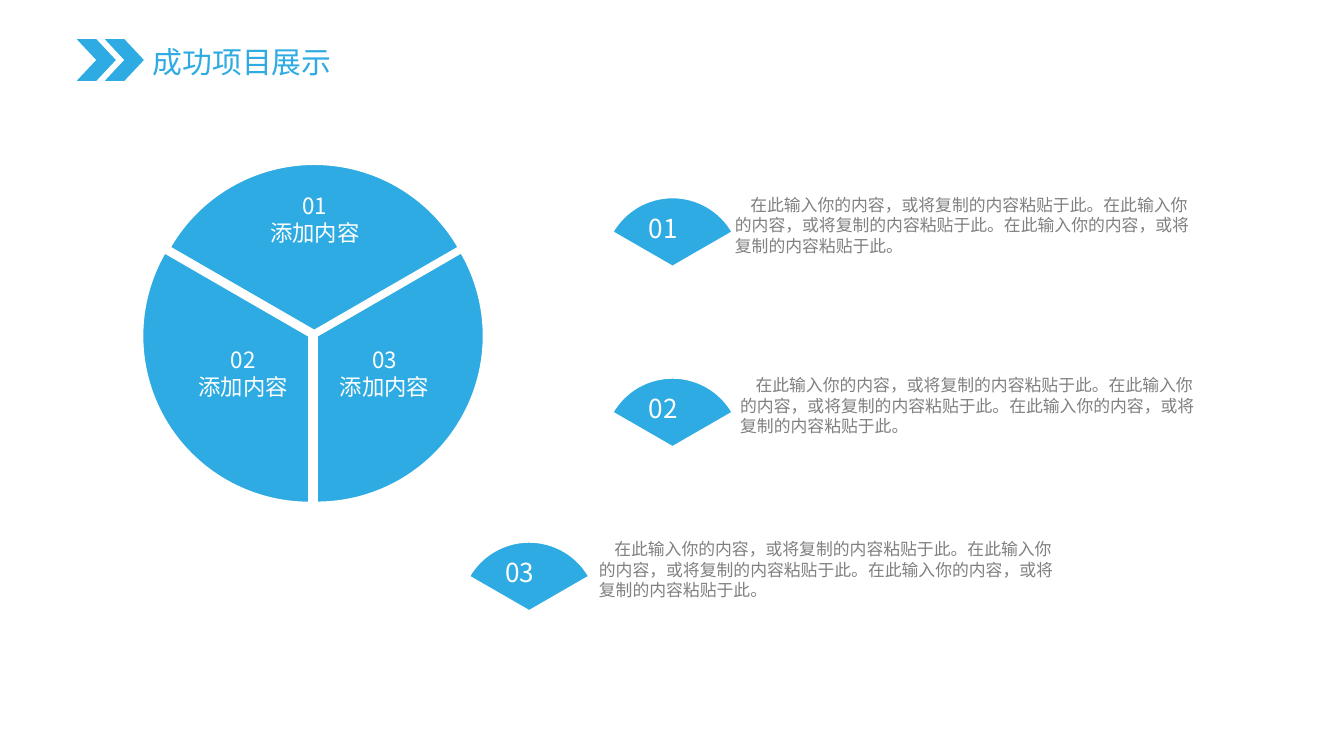
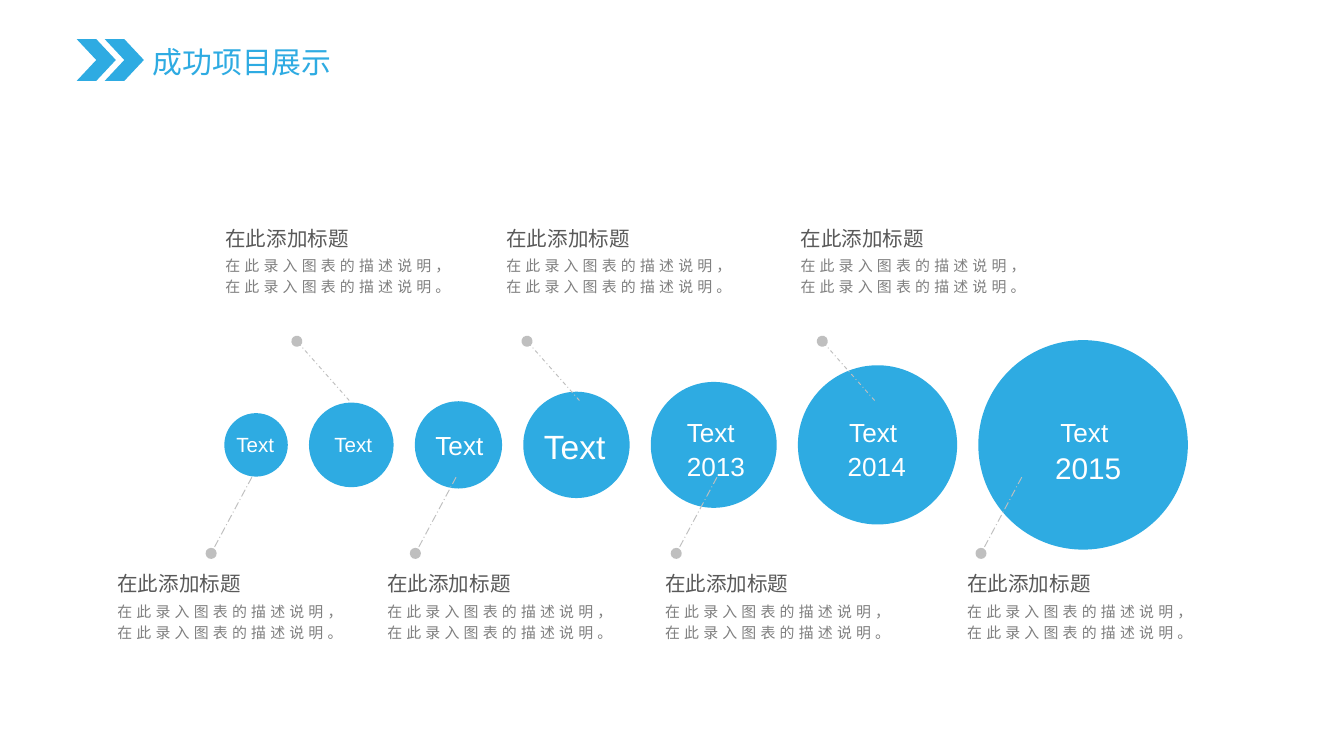
from dataclasses import dataclass

from lxml import etree
from pptx import Presentation
from pptx.dml import color
from pptx.enum import dml, shapes, text
from pptx.oxml import ns
from pptx.shapes.autoshape import Shape
from pptx.slide import Slide
from pptx.util import Cm, Pt


@dataclass(frozen=True)
class Style:
    size: float
    ink: str
    latin: str = "Noto Sans CJK SC"
    leading: float | None = None
    tracking: float = 0


class Theme:
    blue = "2EABE2"
    white = "FFFFFF"
    silver = "BFBFBF"
    gray = "808080"
    cjk = "Noto Sans CJK SC"
    title = Style(16, blue, leading=19.4)
    number = Style(14, white, leading=17)
    slice_number = Style(12, white, leading=21.8)
    slice_label = Style(12, white, leading=14.5)
    body = Style(9, gray, leading=10.9)
    caption = Style(11, "595959", leading=13.3)
    note = Style(8, gray, "Arial Narrow", 11.25, 2.2)
    bubble_small = Style(11, white, "Arial")
    bubble = Style(14, white, "Arial")
    bubble_large = Style(16, white, "Arial")
    bubble_huge = Style(18, white, "Arial")


@dataclass(frozen=True)
class Frame:
    left: float
    top: float
    width: float
    height: float

    def lengths(self) -> tuple[Cm, Cm, Cm, Cm]:
        return Cm(self.left), Cm(self.top), Cm(self.width), Cm(self.height)


@dataclass(frozen=True)
class Line:
    words: str
    style: Style


@dataclass(frozen=True)
class Slice:
    number: str
    left: float
    top: float
    turn: int
    label_left: float
    label_top: float


@dataclass(frozen=True)
class Entry:
    number: str
    left: float
    top: float
    body_left: float


@dataclass(frozen=True)
class Label:
    words: str
    frame: Frame
    style: Style


@dataclass(frozen=True)
class Callout:
    text_left: float
    dot_x: float


@dataclass(frozen=True)
class CalloutRow:
    caption_top: float
    dot_y: float
    end_y: float
    reach: float
    dash: dml.MSO_LINE
    callouts: tuple[Callout, ...]


TITLE = "成功项目展示"
BODY = "在此输入你的内容，或将复制的内容粘贴于此。" * 3
SLICE_LABEL = "添加内容"
CAPTION = "在此添加标题"
NOTE = "在此录入图表的描述说明，在此录入图表的描述说明。"

PIE_SPAN = (162, 18)
SLICE_SIZE = 6.3
FAN_SIZE = 2.62
FAN_TURN = 300
SLICES = (
    Slice("01", 2.79, 3.1, 300, 4.83, 3.25),
    Slice("02", 2.69, 3.2, 180, 3.48, 6.15),
    Slice("03", 2.84, 3.2, 60, 6.15, 6.15),
)
ENTRIES = (
    Entry("01", 11.4, 3.73, 13.64),
    Entry("02", 11.4, 7.14, 13.74),
    Entry("03", 8.69, 10.24, 11.07),
)

BUBBLE_AXIS = 8.41
BUBBLE_START = 4.24
BUBBLE_GAP = 0.4
BUBBLE_SIZES = (1.2, 1.6, 1.65, 2.01, 2.38, 3.01, 3.96)
BUBBLE_LABELS = (
    Label("Text", Frame(4.22, 8.05, 1.27, 0.74), Theme.bubble_small),
    Label("Text", Frame(6.07, 8.05, 1.27, 0.74), Theme.bubble_small),
    Label("Text", Frame(7.98, 8.0, 1.42, 0.86), Theme.bubble),
    Label("Text", Frame(10.03, 7.92, 1.68, 1.02), Theme.bubble_huge),
    Label("Text", Frame(12.73, 7.75, 1.42, 0.86), Theme.bubble),
    Label("2013", Frame(12.73, 8.38, 1.63, 0.86), Theme.bubble),
    Label("Text", Frame(15.8, 7.75, 1.42, 0.86), Theme.bubble),
    Label("2014", Frame(15.77, 8.38, 1.63, 0.86), Theme.bubble),
    Label("Text", Frame(19.79, 7.75, 1.42, 0.86), Theme.bubble),
    Label("2015", Frame(19.69, 8.38, 1.78, 0.94), Theme.bubble_large),
)
CALLOUT_ROWS = (
    CalloutRow(4.14, 6.45, 7.57, 0.99, dml.MSO_LINE.DASH_DOT, (
        Callout(4.01, 5.61), Callout(9.32, 9.96), Callout(14.88, 15.54))),
    CalloutRow(10.67, 10.46, 9.02, 0.77, dml.MSO_LINE.LONG_DASH_DOT, (
        Callout(1.97, 3.99), Callout(7.07, 7.85),
        Callout(12.32, 12.78), Callout(18.03, 18.54))),
)


def rgb(value: str) -> color.RGBColor:
    return color.RGBColor.from_string(value)


def write(box: Shape, lines: list[Line], wrap: bool = False,
          align: text.PP_ALIGN = text.PP_ALIGN.LEFT, indent: float = 0) -> None:
    frame = box.text_frame
    frame.word_wrap = wrap
    frame.auto_size = text.MSO_AUTO_SIZE.SHAPE_TO_FIT_TEXT
    frame.vertical_anchor = text.MSO_ANCHOR.TOP
    for index, line in enumerate(lines):
        para = frame.add_paragraph() if index else frame.paragraphs[0]
        style = line.style
        para.text = line.words
        para.alignment = align
        if style.leading:
            para.line_spacing = Pt(style.leading)
        properties = para._p.get_or_add_pPr()
        if indent:
            properties.set("indent", str(Cm(indent)))
        para.font.size = Pt(style.size)
        para.font.bold = False
        para.font.color.rgb = rgb(style.ink)
        para.font.name = style.latin
        defaults = properties.find(ns.qn("a:defRPr"))
        etree.SubElement(defaults, ns.qn("a:ea")).set("typeface", Theme.cjk)
        if style.tracking:
            defaults.set("spc", str(round(style.tracking * 100)))


def add_text(page: Slide, frame: Frame, lines: list[Line], wrap: bool = False,
             align: text.PP_ALIGN = text.PP_ALIGN.LEFT, indent: float = 0) -> None:
    write(page.shapes.add_textbox(*frame.lengths()), lines, wrap, align, indent)


def add_blue_shape(page: Slide, kind: shapes.MSO_SHAPE, frame: Frame) -> Shape:
    shape = page.shapes.add_shape(kind, *frame.lengths())
    shape.shadow.inherit = False
    shape.fill.solid()
    shape.fill.fore_color.rgb = rgb(Theme.blue)
    shape.line.fill.background()
    return shape


def add_pie(page: Slide, left: float, top: float, size: float, turn: int) -> None:
    pie = add_blue_shape(page, shapes.MSO_SHAPE.PIE, Frame(left, top, size, size))
    for index, angle in enumerate(PIE_SPAN):
        pie.adjustments[index] = angle
    pie.rotation = turn
    pie.line.color.rgb = rgb(Theme.white)
    pie.line.width = Pt(1)


def add_page(deck: Presentation) -> Slide:
    page = deck.slides.add_slide(deck.slide_layouts.get_by_name("Title Only"))
    title = page.shapes.title
    title.left, title.top, title.width, title.height = Frame(2.69, 0.71, 3.81, 0.89).lengths()
    frame = title.text_frame
    frame.margin_left = frame.margin_right = Cm(0.2)
    frame.margin_top = frame.margin_bottom = Cm(0.1)
    write(title, [Line(TITLE, Theme.title)])
    for left in (1.45, 1.98):
        add_blue_shape(page, shapes.MSO_SHAPE.CHEVRON, Frame(left, 0.74, 0.74, 0.79))
    return page


def add_leader(page: Slide, row: CalloutRow, dot_x: float) -> None:
    leader = page.shapes.add_connector(
        shapes.MSO_CONNECTOR.STRAIGHT,
        Cm(dot_x + row.reach), Cm(row.end_y), Cm(dot_x), Cm(row.dot_y))
    leader.line.color.rgb = rgb(Theme.silver)
    leader.line.width = Pt(0.5)
    leader.line.dash_style = row.dash
    properties = leader._element.spPr
    outline = properties.find(ns.qn("a:ln"))
    etree.SubElement(outline, ns.qn("a:tailEnd")).set("type", "oval")
    etree.SubElement(properties, ns.qn("a:effectLst"))


def build_pie_page(deck: Presentation) -> None:
    page = add_page(deck)
    for part in SLICES:
        add_pie(page, part.left, part.top, SLICE_SIZE, part.turn)
        add_text(page, Frame(part.label_left, part.label_top, 2.24, 1.55),
                 [Line(part.number, Theme.slice_number),
                  Line(SLICE_LABEL, Theme.slice_label)],
                 align=text.PP_ALIGN.CENTER)
    for entry in ENTRIES:
        add_text(page, Frame(entry.body_left, entry.top - 0.18, 9.17, 1.42),
                 [Line(BODY, Theme.body)], wrap=True, indent=0.29)
        add_pie(page, entry.left, entry.top, FAN_SIZE, FAN_TURN)
        add_text(page, Frame(entry.left + 0.61, entry.top + 0.15, 1.09, 0.86),
                 [Line(entry.number, Theme.number)])


def build_bubble_page(deck: Presentation) -> None:
    page = add_page(deck)
    left = BUBBLE_START
    for size in BUBBLE_SIZES:
        add_blue_shape(page, shapes.MSO_SHAPE.OVAL,
                       Frame(left, BUBBLE_AXIS - size / 2, size, size))
        left += size + BUBBLE_GAP
    for label in BUBBLE_LABELS:
        add_text(page, label.frame, [Line(label.words, label.style)])
    for row in CALLOUT_ROWS:
        for callout in row.callouts:
            add_leader(page, row, callout.dot_x)
            add_text(page, Frame(callout.text_left, row.caption_top + 0.53, 4.7, 1.04),
                     [Line(NOTE, Theme.note)], wrap=True)
            add_text(page, Frame(callout.text_left, row.caption_top, 4.04, 0.74),
                     [Line(CAPTION, Theme.caption)], wrap=True)


def main() -> None:
    deck = Presentation()
    deck.slide_width = Cm(25.4)
    deck.slide_height = Cm(14.29)
    build_pie_page(deck)
    build_bubble_page(deck)
    deck.save("out.pptx")


if __name__ == "__main__":
    main()
